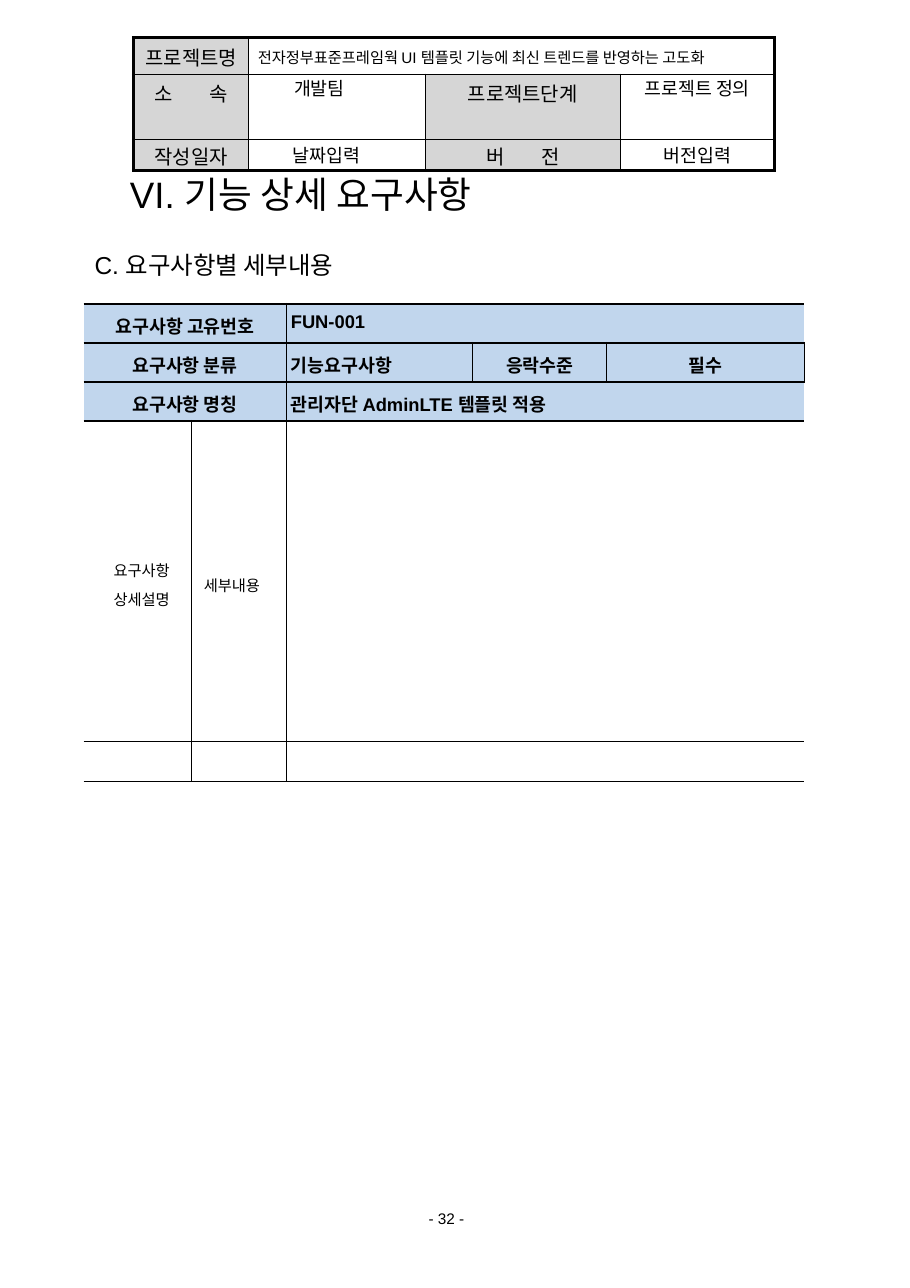
import pptx
import pptx.dml.color
import pptx.enum.text
import pptx.oxml
import pptx.oxml.ns
import pptx.util

Pt = pptx.util.Pt
ALIGN = pptx.enum.text.PP_ALIGN
ANCHOR = pptx.enum.text.MSO_ANCHOR
INK = "000000"
GREY = "D6D6D6"
BLUE = "C1D6ED"
FONT = "Arial"


def color(text):
    return pptx.dml.color.RGBColor.from_string(text)


def write(frame, text, size, bold=False, align=ALIGN.LEFT, space=1.0):
    para = frame.paragraphs[0]
    para.alignment = align
    para.line_spacing = space
    run = para.add_run()
    run.text = text
    run.font.name = FONT
    run.font.size = Pt(size)
    run.font.bold = bold
    run.font.color.rgb = color(INK)


def pad(item, left, top, right, bottom):
    item.margin_left, item.margin_top = Pt(left), Pt(top)
    item.margin_right, item.margin_bottom = Pt(right), Pt(bottom)


def label(slide, place, text, size, inset, space=1.0):
    box = slide.shapes.add_textbox(*map(Pt, place))
    frame = box.text_frame
    frame.word_wrap = True
    pad(frame, *inset)
    write(frame, text, size, space=space)


def head(slide, place, text, size):
    title = slide.shapes.title
    title.left, title.top, title.width, title.height = map(Pt, place)
    frame = title.text_frame
    frame.auto_size = pptx.enum.text.MSO_AUTO_SIZE.NONE
    frame.vertical_anchor = ANCHOR.MIDDLE
    pad(frame, 0.7, 0.7, 0, 0)
    write(frame, text, size)


def edge(cell, widths):
    props = cell._tc.get_or_add_tcPr()
    space = pptx.oxml.ns.nsdecls("a")
    for side, width in zip("LRTB", widths):
        fill = f'<a:solidFill><a:srgbClr val="{INK}"/></a:solidFill>' if width else "<a:noFill/>"
        props.append(pptx.oxml.parse_xml(
            f'<a:ln{side} {space} w="{Pt(width)}">{fill}</a:ln{side}>'))


def paint(cell, fill):
    if fill:
        cell.fill.solid()
        cell.fill.fore_color.rgb = color(fill)
    else:
        cell.fill.background()


def entry(text="", size=12, fill=None, span=1, inset=(0, 0, 0, 0), right=0, mid=False, **style):
    return dict(text=text, size=size, fill=fill, span=span, inset=inset,
                right=right, mid=mid, style=style)


def grid(slide, left, top, cols, rows, cells, lines, side):
    shape = slide.shapes.add_table(len(rows), len(cols), Pt(left), Pt(top),
                                   Pt(sum(cols)), Pt(sum(rows)))
    table = shape.table
    table.first_row = table.horz_banding = False
    for col, width in zip(table.columns, cols):
        col.width = Pt(width)
    for row, height in zip(table.rows, rows):
        row.height = Pt(height)
    for y, row in enumerate(cells):
        x = 0
        for item in row:
            last = x + item["span"]
            sides = (0.75 if x else side,
                     0.75 if last < len(cols) else item["right"] or side,
                     lines[y], lines[y + 1])
            for k in range(x, last):
                edge(table.cell(y, k), sides)
                paint(table.cell(y, k), item["fill"])
            cell = table.cell(y, x)
            if item["span"] > 1:
                cell.merge(table.cell(y, last - 1))
            pad(cell, *item["inset"])
            cell.vertical_anchor = ANCHOR.MIDDLE if item["mid"] else ANCHOR.TOP
            if item["text"]:
                write(cell.text_frame, item["text"], item["size"], **item["style"])
            x = last


def project(slide):
    def name(text, top=0, space=1.0):
        return entry(text, 13, GREY, inset=(0, top, 0, 0), align=ALIGN.CENTER, space=space)

    def value(text, top=0, left=0):
        align = ALIGN.LEFT if left else ALIGN.CENTER
        return entry(text, inset=(left, top, 0, 0), align=align)

    cells = [
        [name("프로젝트명", 3.6),
         entry("전자정부표준프레임웍 UI 템플릿 기능에 최신 트렌드를 반영하는 고도화", 10,
               span=3, inset=(5.8, 5.8, 0, 0))],
        [name("소\t속", space=1.14), value("개발팀", left=29.5),
         name("프로젝트단계", space=1.14), value("프로젝트 정의")],
        [name("작성일자", 1.4), value("날짜입력", 1.4, 28.8),
         name("버\t전", 1.4), value("버전입력", 1.4)],
    ]
    grid(slide, 87.1, 24.5, [75.6, 115.2, 127.4, 100.8], [24, 42.5, 20.3],
         cells, [2.25, 0.75, 0.75, 2.25], 2.25)


def demand(slide):
    inset = (2.9, 2.9, 2.9, 2.9)
    deep = (7.9, 2.9, 2.9, 2.9)

    def bar(text, span=1, align=ALIGN.CENTER, right=0):
        return entry(text, 12, BLUE, span, inset, right, bold=True, align=align, space=1.15)

    def note(text, align):
        return entry(text, 10, inset=deep, mid=True, align=align, space=1.3)

    cells = [
        [bar("요구사항 고유번호", 2), bar("FUN-001", 3, ALIGN.LEFT)],
        [bar("요구사항 분류", 2), bar("기능요구사항", align=ALIGN.LEFT),
         bar("응락수준"), bar("필수", right=0.75)],
        [bar("요구사항 명칭", 2), bar("관리자단 AdminLTE 템플릿 적용", 3, ALIGN.LEFT)],
        [note("요구사항 상세설명", ALIGN.CENTER), note("세부내용", ALIGN.LEFT), entry(span=3)],
        [entry(), entry(), entry(span=3)],
    ]
    grid(slide, 54.7, 198.7, [70.6, 61.9, 121.7, 87.8, 128.9], [25.5] * 3 + [209.5, 26],
         cells, [1.7, 1.97, 1.97, 1.97, 0.75, 0.75], 0)


def main():
    deck = pptx.Presentation()
    deck.slide_width, deck.slide_height = Pt(594.72), Pt(841.68)
    slide = deck.slides.add_slide(deck.slide_layouts[5])
    label(slide, (279.4, 788.4, 36, 12.2), "- 32 -", 10, (0.7, 0, 0, 0), 1.16)
    project(slide)
    head(slide, (84.2, 110.9, 326.9, 31), "VI.\t기능 상세 요구사항", 24)
    demand(slide)
    label(slide, (54.7, 156.2, 198, 27.4), "C. 요구사항별 세부내용", 16, (7.2, 7.2, 7.2, 7.2))
    deck.save("out.pptx")


if __name__ == "__main__":
    main()
